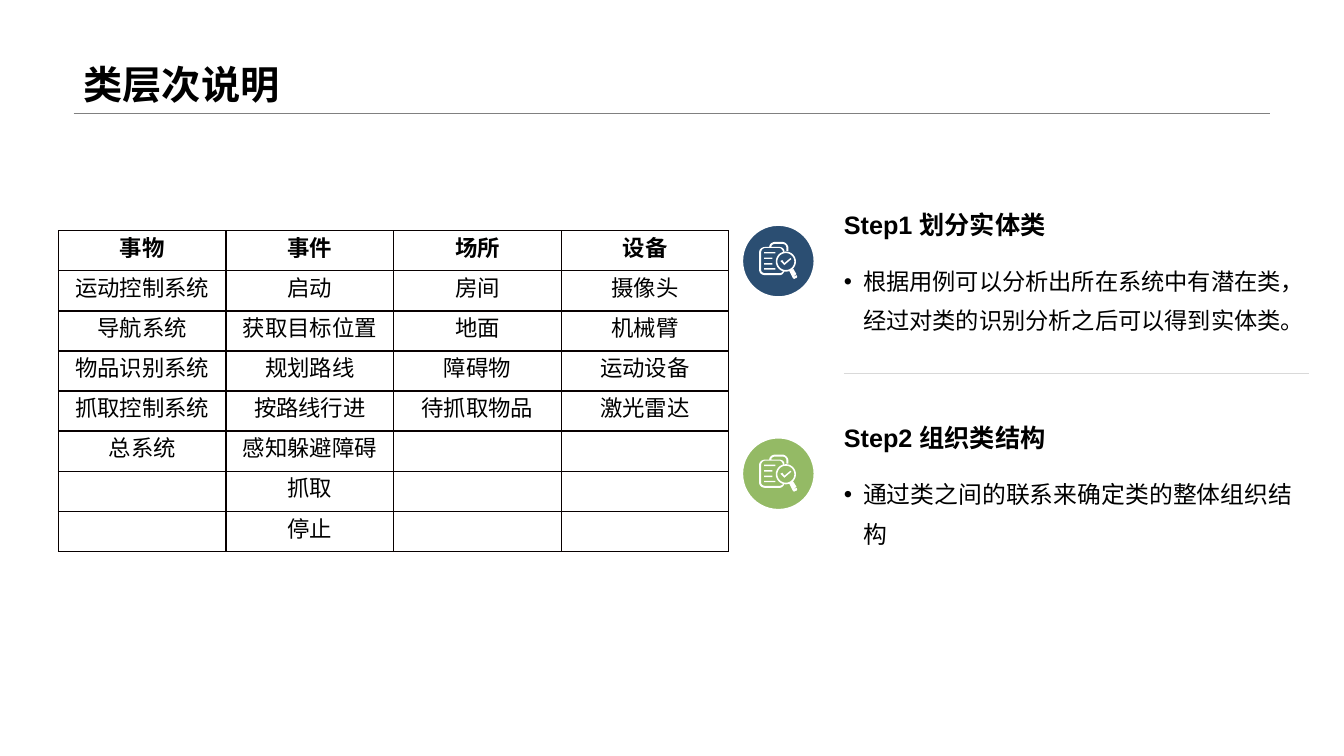
import math
from dataclasses import dataclass

from lxml import etree
from pptx import Presentation
from pptx import util as u
from pptx.dml.color import RGBColor
from pptx.enum import shapes, text
from pptx.oxml import ns


@dataclass(frozen=True)
class Theme:
    font: str = "Arial"
    table_font: str = "Noto Sans CJK SC"
    ink: str = "000000"
    paper: str = "FFFFFF"
    title_rule: str = "808080"
    step_rule: str = "D9D9D9"
    border: str = "080000"
    navy: str = "2B4E72"
    green: str = "94BA65"
    title_size: float = 28
    heading_size: float = 18
    table_size: float = 16


CLIPBOARD = [
    (24, 29), (24, 29, 25, 29, 25, 29), (24, 32, 22, 33, 20, 33), (6, 33),
    (3, 33, 0, 31, 0, 28), (0, 10), (0, 7, 3, 5, 6, 5), (10, 5),
    (10, 2, 13, 0, 16, 0), (23, 0), (26, 0, 29, 3, 29, 6), (29, 9), (27, 9),
    (27, 6), (27, 3, 25, 2, 23, 2), (16, 2), (14, 2, 12, 3, 12, 5), (20, 5),
    (23, 5, 25, 7, 25, 9), (24, 10), (23, 8, 22, 6, 20, 6), (6, 6),
    (4, 6, 2, 8, 2, 10), (2, 28), (2, 30, 4, 31, 6, 31), (20, 31),
    (22, 31, 23, 30, 24, 29),
]
GRIP = [(34, 27), (30, 29), (33, 35), (37, 32)]
GRIP_END = [(37, 33), (33, 35), (34, 37, 35, 37, 36, 36), (38, 36, 38, 34, 37, 33)]
CHECK = [(25, 21), (23, 18), (21, 19), (25, 23), (32, 17), (31, 16)]


def flatten(segments, steps=8):
    points = []
    for segment in segments:
        if len(segment) == 2:
            points.append(segment)
            continue
        x0, y0 = points[-1]
        x1, y1, x2, y2, x3, y3 = segment
        for step in range(1, steps + 1):
            t = step / steps
            a, b, c, d = (1 - t) ** 3, 3 * t * (1 - t) ** 2, 3 * t * t * (1 - t), t ** 3
            points.append((a * x0 + b * x1 + c * x2 + d * x3,
                           a * y0 + b * y1 + c * y2 + d * y3))
    return points


def circle(x, y, radius, steps=36):
    angles = [2 * math.pi * step / steps for step in range(steps)]
    return [(x + radius * math.cos(a), y + radius * math.sin(a)) for a in angles]


def text_bar(right, top):
    return [(5, top), (right, top), (right, top + 1.4), (5, top + 1.4)]


ICON = [flatten(part) for part in (CLIPBOARD, GRIP, GRIP_END, CHECK)]
ICON += [circle(26.5, 19.5, radius) for radius in (10, 8.4)]
ICON += [text_bar(right, top) for right, top in ((16, 10), (13, 15.5), (13, 21), (16, 26))]


class SlideBuilder:
    def __init__(self, slide, theme):
        self.slide = slide
        self.theme = theme

    def run(self, paragraph, words, size, bold=False, font=None):
        run = paragraph.add_run()
        run.text = words
        run.font.name = font or self.theme.font
        run.font.size = u.Pt(size)
        run.font.bold = bold
        run.font.color.rgb = RGBColor.from_string(self.theme.ink)

    def placeholder(self, index, box, words, size, bold=False, spacing=1.0,
                    anchor=text.MSO_ANCHOR.TOP):
        shape = self.slide.placeholders[index]
        shape.left, shape.top, shape.width, shape.height = map(u.Inches, box)
        frame = shape.text_frame
        frame.word_wrap = True
        frame.auto_size = text.MSO_AUTO_SIZE.NONE
        frame.vertical_anchor = anchor
        paragraph = frame.paragraphs[0]
        paragraph.alignment = text.PP_ALIGN.LEFT
        paragraph.line_spacing = spacing
        paragraph.space_before = u.Pt(0)
        self.run(paragraph, words, size, bold)
        return paragraph

    def bullet(self, index, box, words, size):
        paragraph = self.placeholder(index, box, words, size, spacing=1.4)
        properties = paragraph._p.get_or_add_pPr()
        properties.set("marL", str(u.Inches(0.19)))
        properties.set("indent", str(u.Inches(-0.19)))
        etree.SubElement(properties, ns.qn("a:buChar")).set("char", "•")

    def rule(self, left, right, y, color):
        line = self.slide.shapes.add_connector(
            shapes.MSO_CONNECTOR.STRAIGHT,
            u.Inches(left), u.Inches(y), u.Inches(right), u.Inches(y))
        line.line.color.rgb = RGBColor.from_string(color)
        line.line.width = u.Pt(0.25)
        etree.SubElement(line._element.spPr, ns.qn("a:effectLst"))

    def badge(self, left, top, color):
        disc = self.slide.shapes.add_shape(
            shapes.MSO_SHAPE.OVAL, u.Inches(left), u.Inches(top),
            u.Inches(0.74), u.Inches(0.74))
        disc.shadow.inherit = False
        disc.fill.solid()
        disc.fill.fore_color.rgb = RGBColor.from_string(color)
        disc.line.color.rgb = RGBColor.from_string(self.theme.paper)
        disc.line.width = u.Pt(3)
        self.icon(left + 0.18, top + 0.18)

    def icon(self, left, top):
        contours = [[(u.Inches(left + x / 100), u.Inches(top + y / 100)) for x, y in part]
                    for part in ICON]
        builder = self.slide.shapes.build_freeform(*contours[0][0])
        for number, points in enumerate(contours):
            if number:
                builder.move_to(*points[0])
            builder.add_line_segments(points[1:], close=True)
        glyph = builder.convert_to_shape()
        glyph.shadow.inherit = False
        glyph.fill.solid()
        glyph.fill.fore_color.rgb = RGBColor.from_string(self.theme.paper)
        glyph.line.fill.background()

    def table(self, box, columns):
        row_count = max(map(len, columns))
        table = self.slide.shapes.add_table(
            row_count, len(columns), *map(u.Inches, box)).table
        table.first_row = table.horz_banding = False
        for column, entries in enumerate(columns):
            for row in range(row_count):
                cell = table.cell(row, column)
                cell.margin_left = cell.margin_right = u.Inches(0.07)
                cell.margin_top = cell.margin_bottom = 0
                self.borders(cell)
                cell.fill.background()
                if row < len(entries):
                    paragraph = cell.text_frame.paragraphs[0]
                    paragraph.alignment = text.PP_ALIGN.CENTER
                    self.run(paragraph, entries[row], self.theme.table_size,
                             row == 0, self.theme.table_font)

    def borders(self, cell):
        properties = cell._tc.get_or_add_tcPr()
        for side in ("lnL", "lnR", "lnT", "lnB"):
            line = etree.SubElement(properties, ns.qn("a:" + side), w=str(u.Pt(1)))
            fill = etree.SubElement(line, ns.qn("a:solidFill"))
            etree.SubElement(fill, ns.qn("a:srgbClr"), val=self.theme.border)


def main():
    theme = Theme()
    presentation = Presentation()
    presentation.slide_width = u.Inches(13.33)
    presentation.slide_height = u.Inches(7.5)
    comparison = presentation.slide_layouts.get_by_name("Comparison")
    builder = SlideBuilder(presentation.slides.add_slide(comparison), theme)

    builder.rule(0.73, 12.6, 1.12, theme.title_rule)
    builder.placeholder(0, (0.73, 0, 11.87, 1.12), "类层次说明", theme.title_size,
                        True, 0.9, text.MSO_ANCHOR.BOTTOM)
    steps = [
        ("Step1 划分实体类",
         "根据用例可以分析出所在系统中有潜在类，经过对类的识别分析之后可以得到实体类。",
         16.6, theme.navy),
        ("Step2 组织类结构", "通过类之间的联系来确定类的整体组织结构", 17, theme.green),
    ]
    for number, (heading, detail, size, color) in enumerate(steps):
        top = 2.03 + 2.11 * number
        builder.badge(7.35, top + 0.19, color)
        builder.placeholder(1 + 2 * number, (8.27, top, 4.7, 0.46), heading,
                            theme.heading_size, True)
        builder.bullet(2 + 2 * number, (8.27, top + 0.46, 4.7, 0.87), detail, size)
    builder.rule(8.37, 12.98, 3.7, theme.step_rule)
    builder.table((0.58, 2.29, 6.65, 3.18), [
        ["事物", "运动控制系统", "导航系统", "物品识别系统", "抓取控制系统", "总系统"],
        ["事件", "启动", "获取目标位置", "规划路线", "按路线行进", "感知躲避障碍", "抓取", "停止"],
        ["场所", "房间", "地面", "障碍物", "待抓取物品"],
        ["设备", "摄像头", "机械臂", "运动设备", "激光雷达"],
    ])
    presentation.save("out.pptx")


if __name__ == "__main__":
    main()
